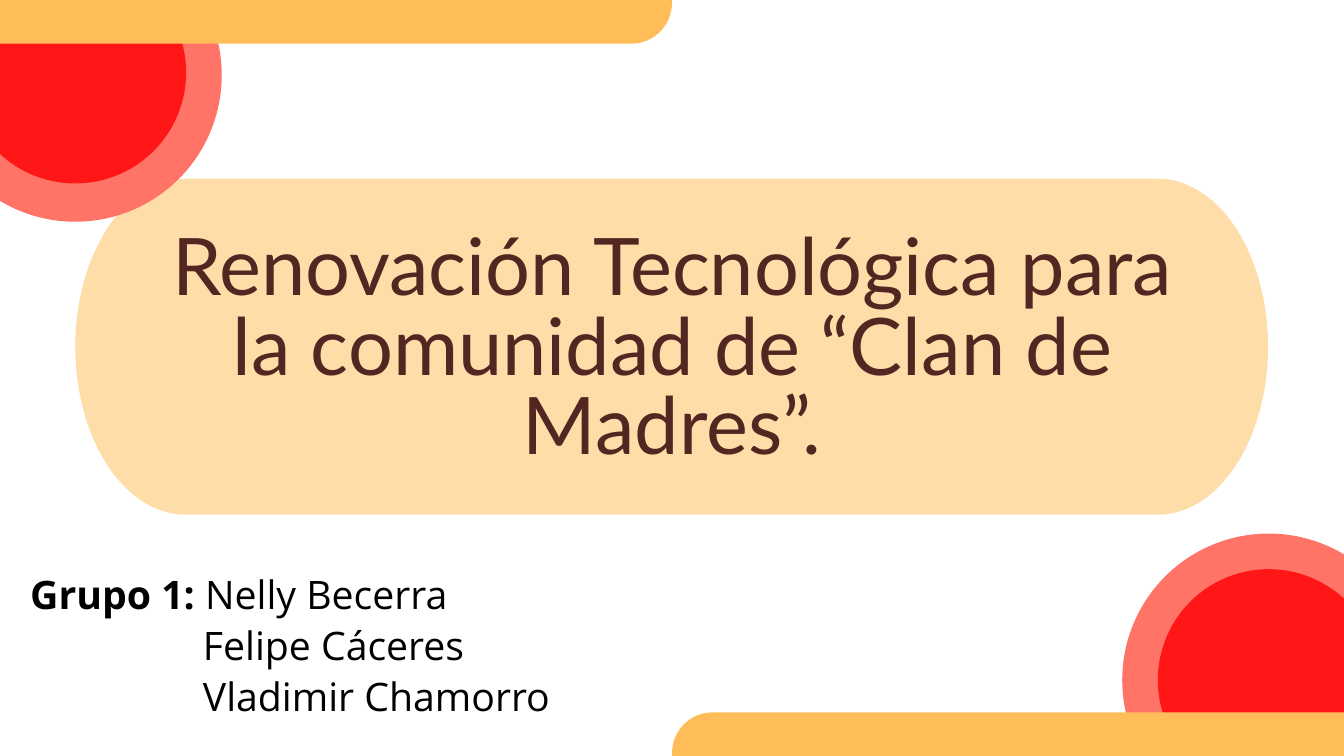
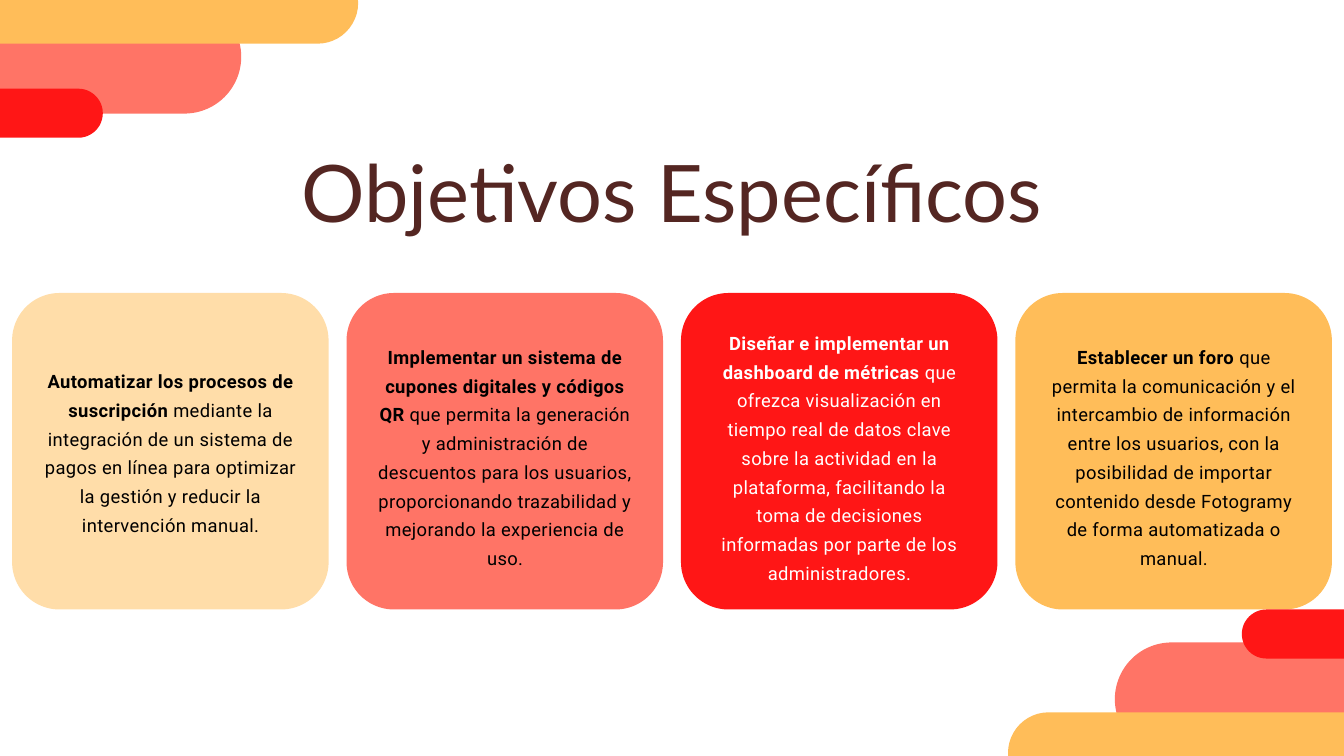
from collections import namedtuple
from math import cos, pi, sin

from pptx import Presentation
from pptx.dml.color import RGBColor
from pptx.enum.shapes import MSO_SHAPE as Preset
from pptx.enum.text import MSO_AUTO_SIZE as AutoSize, PP_ALIGN as Align
from pptx.util import Inches, Pt

COLUMNS, ROWS = 20, 11.25
SLIDE_WIDTH, SLIDE_HEIGHT = Inches(20), Inches(11.25)
COLUMN, ROW = SLIDE_WIDTH / COLUMNS, SLIDE_HEIGHT / ROWS

COLORS = {
    "cream": "FFDDA9",
    "coral": "FF7466",
    "red": "FF1616",
    "amber": "FFBD59",
    "brown": "542622",
    "black": "000000",
    "white": "FFFFFF",
}
BAND_HEIGHT = 1.21
BAND_SHOWN = 0.65
BLEED_LEFT, BLEED_RIGHT = -3.2, 22.98

Box = namedtuple("Box", "left top width height")
Style = namedtuple("Style", "font size color line_spacing spacing", defaults=(0,))

OBJECTIVES = [
    ("cream", "black", 2.61, "Automatizar los procesos de suscripción",
     " mediante la integración de un sistema de pagos en línea para optimizar "
     "la gestión y reducir la intervención manual."),
    ("coral", "black", 3.33,
     "Implementar un sistema de cupones digitales y códigos QR",
     " que permita la generación y administración de descuentos para los "
     "usuarios, proporcionando trazabilidad y mejorando la experiencia de uso."),
    ("red", "white", 3.75, "Diseñar e implementar un dashboard de métricas",
     " que ofrezca visualización en tiempo real de datos clave sobre la "
     "actividad en la plataforma, facilitando la toma de decisiones "
     "informadas por parte de los administradores."),
    ("amber", "black", 3.33, "Establecer un foro ",
     "que permita la comunicación y el intercambio de información entre los "
     "usuarios, con la posibilidad de importar contenido desde Fotogramy "
     "de forma automatizada o manual."),
]


def to_emu(box):
    return (round(box.left * COLUMN), round(box.top * ROW),
            round(box.width * COLUMN), round(box.height * ROW))


def paint(shape, color):
    shape.shadow.inherit = False
    shape.fill.solid()
    shape.fill.fore_color.rgb = RGBColor.from_string(COLORS[color])
    shape.line.fill.background()


def add_rounded(slide, box, color, roundness=0.5):
    rounded = slide.shapes.add_shape(Preset.ROUNDED_RECTANGLE, *to_emu(box))
    rounded.adjustments[0] = roundness
    paint(rounded, color)


def add_disc(slide, center_x, center_y, radius, color):
    box = Box(center_x - radius, center_y - radius, 2 * radius, 2 * radius)
    paint(slide.shapes.add_shape(Preset.OVAL, *to_emu(box)), color)


def add_elliptic_panel(slide, box, cap_width, color, steps=48):
    """Draw a panel whose left and right ends are half ellipses."""
    half = box.height / 2
    middle = box.top + half
    outline = []
    for center_x, start in ((box.left + box.width - cap_width, -pi / 2),
                            (box.left + cap_width, pi / 2)):
        for step in range(steps + 1):
            angle = start + pi * step / steps
            outline.append((round((center_x + cap_width * cos(angle)) * COLUMN),
                            round((middle + half * sin(angle)) * ROW)))
    builder = slide.shapes.build_freeform(*outline[0])
    builder.add_line_segments(outline[1:], close=True)
    paint(builder.convert_to_shape(), color)


def add_text(slide, box, style, paragraphs, align=Align.LEFT, hanging=0):
    """Write paragraphs of (text, bold) runs; hanging indents all but the first."""
    frame = slide.shapes.add_textbox(*to_emu(box)).text_frame
    frame.margin_left = frame.margin_top = 0
    frame.margin_right = frame.margin_bottom = 0
    frame.word_wrap = True
    frame.auto_size = AutoSize.SHAPE_TO_FIT_TEXT
    for index, runs in enumerate(paragraphs):
        paragraph = frame.add_paragraph() if index else frame.paragraphs[0]
        paragraph.alignment = align
        paragraph.line_spacing = Pt(style.line_spacing)
        if index and hanging:
            paragraph._p.get_or_add_pPr().set("marL", str(round(hanging * COLUMN)))
        for text, bold in runs:
            run = paragraph.add_run()
            run.text = text
            run.font.name = style.font
            run.font.size = Pt(style.size)
            run.font.bold = bold
            run.font.color.rgb = RGBColor.from_string(COLORS[style.color])
            if style.spacing:
                run._r.get_or_add_rPr().set("spc", str(round(style.spacing * 100)))


def add_title(slide, box, text, line_spacing):
    style = Style("Lato", 85, "brown", line_spacing)
    add_text(slide, box, style, [[(text, False)]], Align.CENTER)


def add_top_band(slide, end):
    add_rounded(slide, Box(BLEED_LEFT, BAND_SHOWN - BAND_HEIGHT,
                           end - BLEED_LEFT, BAND_HEIGHT), "amber")


def add_bottom_band(slide, start):
    add_rounded(slide, Box(start, ROWS - BAND_SHOWN,
                           BLEED_RIGHT - start, BAND_HEIGHT), "amber")


def add_ringed_disc(slide, center_x, center_y, inner_lift=0):
    add_disc(slide, center_x, center_y, 2.18, "coral")
    add_disc(slide, center_x, center_y - inner_lift, 1.65, "red")


def add_objective(slide, box, objective):
    color, text_color, text_height, goal, detail = objective
    add_rounded(slide, box, color, 0.15)
    text_box = Box(box.left + 0.46, box.top + (box.height - text_height) / 2,
                   3.8, text_height)
    style = Style("Roboto", 19.7, text_color, 30.8, 0.4)
    add_text(slide, text_box, style, [[(goal, True), (detail, False)]],
             Align.CENTER)


def add_objective_row(slide, box):
    """Spread square cards evenly from the left to the right of the box."""
    side = box.height
    pitch = (box.width - side) / (len(OBJECTIVES) - 1)
    for index, objective in enumerate(OBJECTIVES):
        add_objective(slide, Box(box.left + index * pitch, box.top, side, side),
                      objective)


def build_cover(slide):
    panel = Box(1.12, 2.66, 17.75, 5)
    add_elliptic_panel(slide, panel, 1.64, "cream")
    add_ringed_disc(slide, 1.12, 1.12, inner_lift=0.04)
    add_title(slide, Box(panel.left + 0.92, panel.top + 0.8, 15.92, 3.58),
              "Renovación Tecnológica para la comunidad de “Clan de Madres”.", 85)
    members = [
        [("Grupo 1:", True), (" Nelly Becerra", False)],
        [("Felipe Cáceres", False)],
        [("Vladimir Chamorro", False)],
    ]
    add_text(slide, Box(0.45, 8.42, 15.92, 2.27),
             Style("Open Sans", 42, "black", 55), members, hanging=2.57)
    add_top_band(slide, COLUMNS / 2)
    add_ringed_disc(slide, 18.88, 10.12)
    add_bottom_band(slide, COLUMNS / 2)


def build_objectives(slide):
    add_objective_row(slide, Box(0.18, 4.36, 19.64, 4.71))
    add_title(slide, Box(3.21, 1.89, 13.57, 1.58), "Objetivos Específicos", 119)
    add_rounded(slide, Box(-0.95, 0, 4.54, 1.69), "coral")
    add_rounded(slide, Box(-2.97, 1.32, 4.5, 0.73), "red")
    add_top_band(slide, 5.33)
    add_rounded(slide, Box(16.59, 9.56, 4.13, 1.69), "coral")
    add_rounded(slide, Box(18.48, 9.07, 4.5, 0.73), "red")
    add_bottom_band(slide, 15)


def main():
    deck = Presentation()
    deck.slide_width, deck.slide_height = SLIDE_WIDTH, SLIDE_HEIGHT
    for build in (build_cover, build_objectives):
        build(deck.slides.add_slide(deck.slide_layouts[6]))
    deck.save("out.pptx")


if __name__ == "__main__":
    main()
